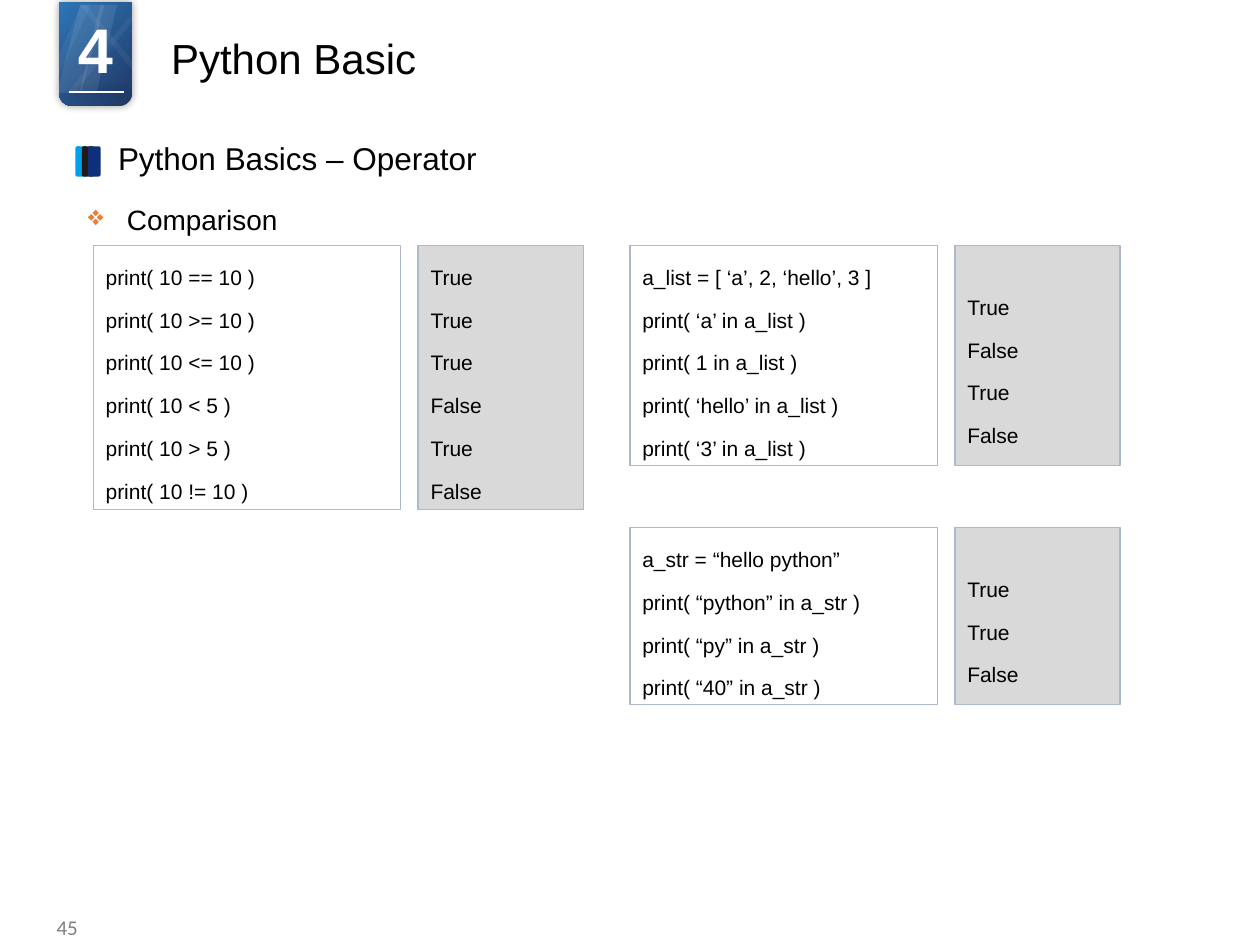
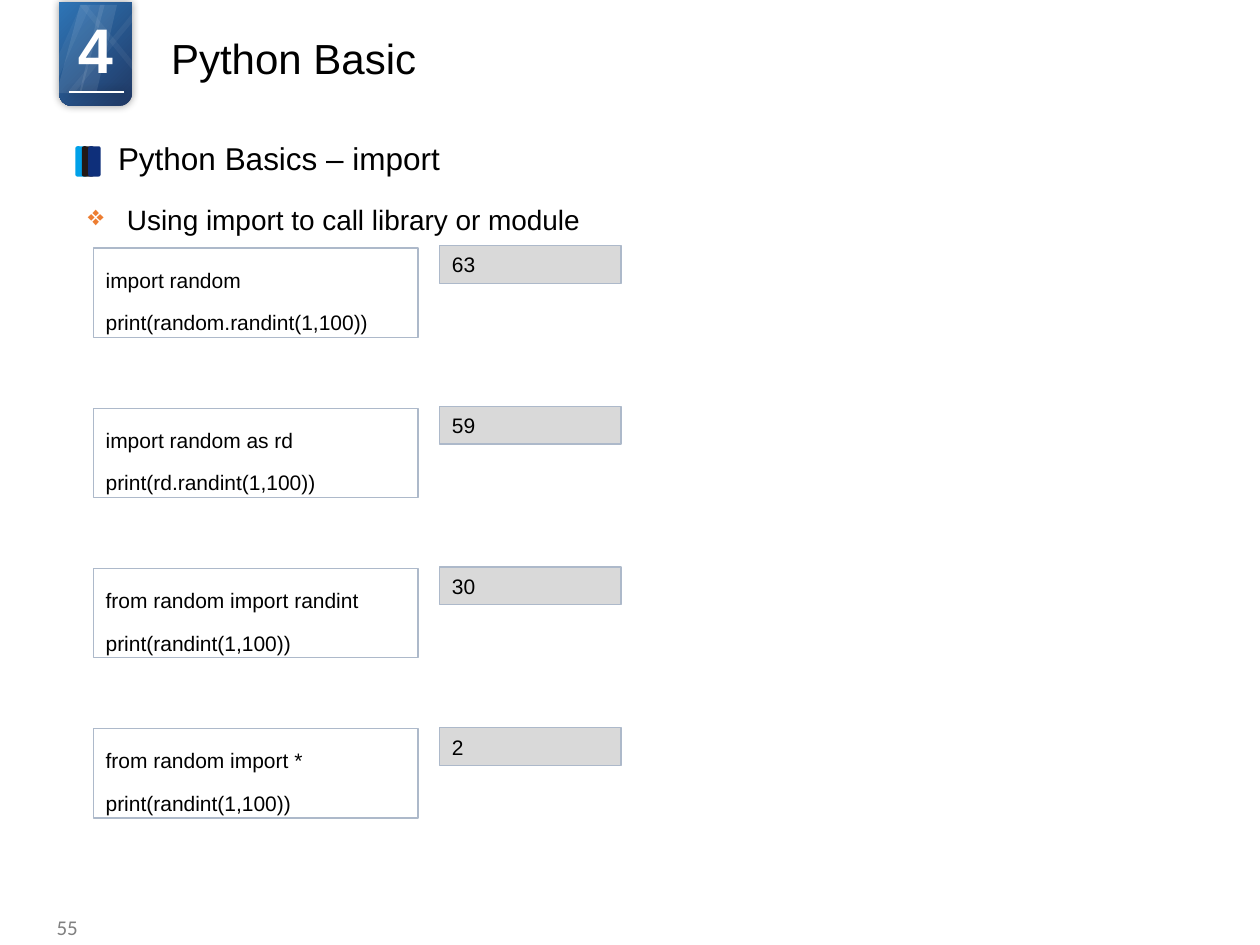
from lxml.etree import SubElement
from pptx import Presentation
from pptx.dml.color import RGBColor
from pptx.enum.shapes import MSO_CONNECTOR, MSO_SHAPE
from pptx.enum.text import MSO_ANCHOR, PP_ALIGN
from pptx.oxml.ns import qn
from pptx.util import Cm, Pt

BLACK = "000000"
WHITE = "FFFFFF"
GRAY = "808080"
OUTPUT_FILL = "D9D9D9"
BOX_LINE = "ADB9CA"
BULLET_ORANGE = "ED7D31"
BADGE_GRADIENT = ("203864", "2E75B6")
MARKER_COLORS = ("00A1E9", "231916", "0E2F7A")

LEFT = 1.88
BODY_TOP = 4.95
PADDING = 0.13
INTRO_LINE = 0.6
GLINTS = (
    (-0.05, 0.97, 0.49, 9, False),
    (0.41, 0.76, 0.55, 9, False),
    (0.16, 1.6, 0.91, 5, False),
    (-0.35, 0.99, 0.8, 5, False),
    (0.41, 1.6, 0.91, 5, True),
)


def rgb(color):
    return RGBColor.from_string(color)


def add_block(slide, preset, left, top, width, height, fill=None, line=None):
    block = slide.shapes.add_shape(preset, Cm(left), Cm(top), Cm(width), Cm(height))
    block.shadow.inherit = False
    if fill:
        block.fill.solid()
        block.fill.fore_color.rgb = rgb(fill)
    else:
        block.fill.background()
    if line:
        block.line.color.rgb = rgb(line)
        block.line.width = Pt(0.75)
    else:
        block.line.fill.background()
    return block


def write(frame, text, size, color=BLACK, font="Arial", align=PP_ALIGN.LEFT,
          anchor=MSO_ANCHOR.TOP, spacing=None, after=None, bold=False):
    frame.word_wrap = True
    frame.vertical_anchor = anchor
    frame.text = text
    for paragraph in frame.paragraphs:
        paragraph.alignment = align
        if spacing:
            paragraph.line_spacing = spacing
        if after:
            paragraph.space_after = Pt(after)
        for run in paragraph.runs:
            run.font.size = Pt(size)
            run.font.name = font
            run.font.bold = bold
            run.font.color.rgb = rgb(color)


def add_label(slide, left, top, width, height, text, size, **style):
    label = slide.shapes.add_textbox(Cm(left), Cm(top), Cm(width), Cm(height))
    write(label.text_frame, text, size, **style)
    return label.text_frame


def add_glow(effects):
    shadow = SubElement(effects, qn("a:outerShdw"), blurRad=str(Pt(5)), dist="0", dir="0")
    tint = SubElement(shadow, qn("a:srgbClr"), val=BLACK)
    SubElement(tint, qn("a:alpha"), val="40000")


def add_badge(slide, left, top, width, height):
    badge = add_block(slide, MSO_SHAPE.ROUND_2_SAME_RECTANGLE, left, top, width, height)
    badge.rotation = 180
    badge.fill.gradient()
    badge.fill.gradient_angle = 315
    for stop, color in zip(badge.fill.gradient_stops, BADGE_GRADIENT):
        stop.color.rgb = rgb(color)
    add_glow(badge.element.spPr.find(qn("a:effectLst")))

    rule_top = Cm(top + 1.8)
    rule = slide.shapes.add_connector(
        MSO_CONNECTOR.STRAIGHT, Cm(left + 1.32), rule_top, Cm(left + 0.21), rule_top)
    rule.line.color.rgb = rgb(WHITE)
    rule.line.width = Pt(1)
    add_glow(SubElement(rule.element.spPr, qn("a:effectLst")))

    for offset, glint_width, slant, opacity, flipped in GLINTS:
        glint = add_block(slide, MSO_SHAPE.PARALLELOGRAM, left + offset, top + 0.05,
                          glint_width, 1.78, WHITE)
        glint.adjustments[0] = slant
        tint = glint.element.spPr.find(qn("a:solidFill")).find(qn("a:srgbClr"))
        SubElement(tint, qn("a:alpha"), val=str(opacity * 1000))
        if flipped:
            glint.element.spPr.find(qn("a:xfrm")).set("flipH", "1")


def add_section(slide, left, top, text):
    for index, color in enumerate(MARKER_COLORS):
        add_block(slide, MSO_SHAPE.ROUNDED_RECTANGLE, left + 0.13 * index, top + 0.18,
                  0.25, 0.61, color)
    add_label(slide, left + 0.61, top, 11.96, 0.94, text, 18,
              anchor=MSO_ANCHOR.MIDDLE, spacing=0.9)


def add_topic(slide, left, top, width, text):
    topic = add_label(slide, left, top, width, 0.94, text, 16, after=2.8)
    properties = topic.paragraphs[0]._p.get_or_add_pPr()
    properties.set("marL", str(Cm(0.79)))
    properties.set("indent", str(-Cm(0.79)))
    SubElement(SubElement(properties, qn("a:buClr")), qn("a:srgbClr"), val=BULLET_ORANGE)
    SubElement(properties, qn("a:buChar"), char="❖")


def add_header(slide, chapter, title):
    add_label(slide, 3.2, 0.53, 17.88, 1.45, title, 24)
    number = add_label(slide, 1.24, 0.08, 1.37, 1.8, chapter, 36, color=WHITE,
                       align=PP_ALIGN.CENTER, bold=True)
    number.paragraphs[0].runs[0].font._element.set("spc", "-150")


def add_listing(slide, left, top, width, height, lines, fill=None, spacing=1.5, lead=0):
    listing = add_block(slide, MSO_SHAPE.RECTANGLE, left, top, width, height, fill, BOX_LINE)
    write(listing.text_frame, "\n".join(lines), 12, spacing=spacing, after=2.8)
    listing.text_frame.margin_top = Cm(PADDING + lead)


def add_example(slide, left, top, code, results):
    height = 0.04 + 0.88 * len(code)
    lead = INTRO_LINE if len(results) < len(code) else 0
    add_listing(slide, left, top, 6.2, height, code)
    add_listing(slide, left + 6.55, top, 3.33, height, results, OUTPUT_FILL, lead=lead)


def add_frame(deck, page, section, topic, topic_width):
    slide = deck.slides.add_slide(deck.slide_layouts[6])
    add_badge(slide, 1.19, 0.05, 1.47, 2.08)
    add_label(slide, 0.58, 18.42, 1.24, 0.53, page, 12, color=GRAY, font="Calibri",
              align=PP_ALIGN.RIGHT, anchor=MSO_ANCHOR.MIDDLE)
    add_section(slide, 1.52, 2.77, section)
    add_topic(slide, 1.52, 3.96, topic_width, topic)
    add_header(slide, "4", "Python Basic")
    return slide


def build_comparison(deck):
    slide = add_frame(deck, "45", "Python Basics – Operator", "Comparison", 9.73)
    comparisons = ("10 == 10", "10 >= 10", "10 <= 10", "10 < 5", "10 > 5", "10 != 10")
    add_example(slide, LEFT, BODY_TOP,
                [f"print( {comparison} )" for comparison in comparisons],
                ["True", "True", "True", "False", "True", "False"])
    list_checks = [f"print( {item} in a_list )" for item in ("‘a’", "1", "‘hello’", "‘3’")]
    add_example(slide, 12.7, BODY_TOP,
                ["a_list = [ ‘a’, 2, ‘hello’, 3 ]"] + list_checks,
                ["True", "False", "True", "False"])
    string_checks = [f"print( “{piece}” in a_str )" for piece in ("python", "py", "40")]
    add_example(slide, 12.7, 10.64,
                ["a_str = “hello python”"] + string_checks,
                ["True", "True", "False"])


def build_import(deck):
    slide = add_frame(deck, "55", "Python Basics – import",
                      "Using import to call library or module", 12.12)
    imports = (
        ("import random", "print(random.randint(1,100))", "63"),
        ("import random as rd", "print(rd.randint(1,100))", "59"),
        ("from random import randint", "print(randint(1,100))", "30"),
        ("from random import *", "print(randint(1,100))", "2"),
    )
    for row, (statement, call, result) in enumerate(imports):
        add_listing(slide, LEFT, BODY_TOP + 0.05 + 3.23 * row, 6.55, 1.8, [statement, call])
        add_listing(slide, 8.86, BODY_TOP + 3.24 * row, 3.66, 0.76, [result],
                    OUTPUT_FILL, spacing=None)


def main():
    deck = Presentation()
    deck.slide_width = Cm(25.4)
    deck.slide_height = Cm(19.05)
    build_comparison(deck)
    build_import(deck)
    deck.save("out.pptx")


if __name__ == "__main__":
    main()
